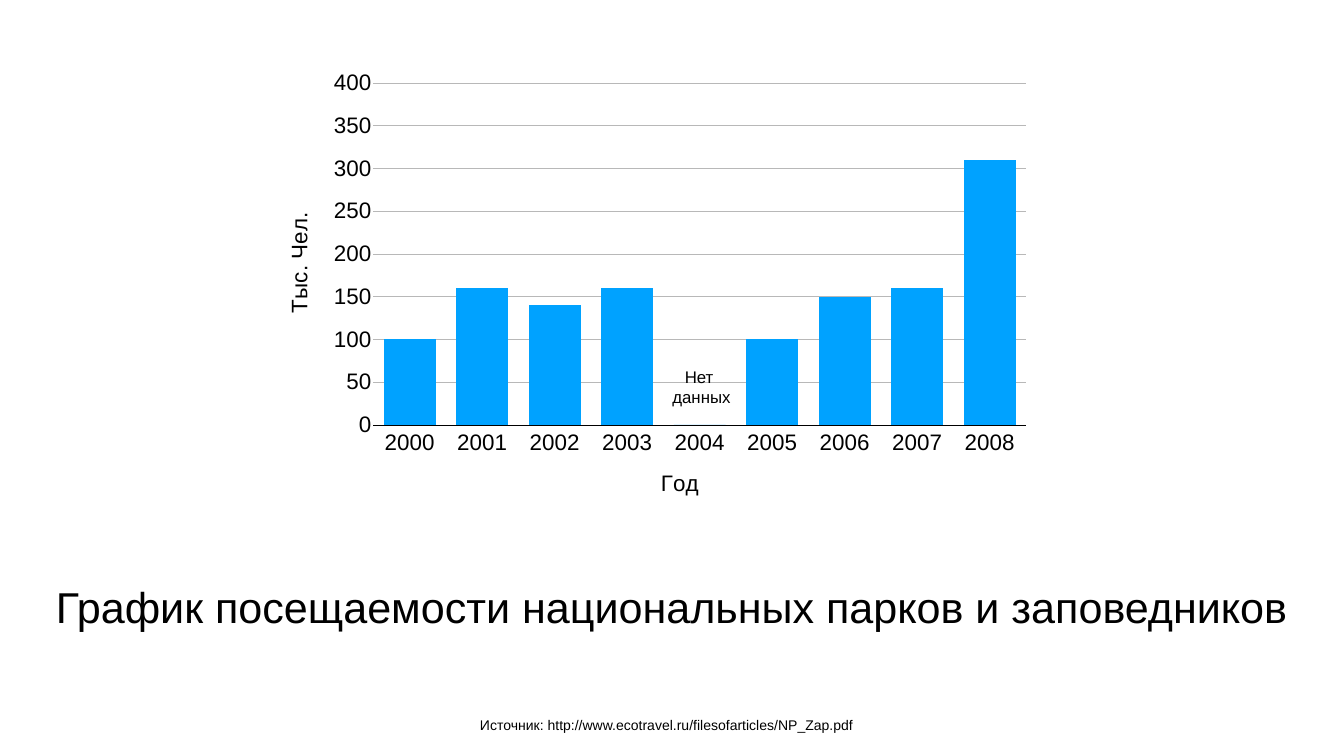
import pptx
import pptx.chart.data
import pptx.dml.color
import pptx.enum.chart
import pptx.enum.text
import pptx.oxml
import pptx.util
from pptx.oxml.ns import nsdecls

Cm, Pt = pptx.util.Cm, pptx.util.Pt
CH, TX = pptx.enum.chart, pptx.enum.text
FACE, BLACK, GREY, BLUE = "Arial", "000000", "B8B8B8", "00A2FF"
LOW, MID = TX.MSO_ANCHOR.BOTTOM, TX.MSO_ANCHOR.MIDDLE

VISITS = {"2000": 100, "2001": 160, "2002": 140, "2003": 160, "2004": 0,
          "2005": 100, "2006": 150, "2007": 160, "2008": 310}
PLOT = {"x": 0.125, "y": 0.058, "w": 0.87, "h": 0.759}
AREA = (14.1, 2.86, 37.8, 22.71)
# lines, box in cm, size, anchor, wrap
TEXTS = [
    (["График посещаемости национальных парков и заповедников"],
     (1.75, 26.45, 64.21, 5.56), 61.6, LOW, True),
    (["Нет ", "данных"], (33.73, 18.34, 3.25, 2.31), 24, MID, False),
    (["Источник: http://www.ecotravel.ru/filesofarticles/NP_Zap.pdf"],
     (23.77, 35.97, 19.66, 1.12), 20, MID, False),
]


def rgb(code):
    return pptx.dml.color.RGBColor.from_string(code)


def style(font, size):
    font.name, font.size, font.bold = FACE, Pt(size), False
    font.color.rgb = rgb(BLACK)


def stroke(line, code):
    line.color.rgb = rgb(code)
    line.width = Pt(1)


def add_text(slide, lines, box, size, anchor, wrap):
    frame = slide.shapes.add_textbox(*map(Cm, box)).text_frame
    frame.word_wrap, frame.vertical_anchor = wrap, anchor
    frame.margin_left = frame.margin_right = Cm(0.15)
    frame.margin_top = frame.margin_bottom = Cm(0.15)
    frame.text = "\n".join(lines)
    for para in frame.paragraphs:
        para.alignment = TX.PP_ALIGN.CENTER
        style(para.font, size)


def set_axis(axis, title):
    frame = axis.axis_title.text_frame
    frame.text = title
    style(frame.paragraphs[0].font, 32)
    style(axis.tick_labels.font, 32)
    axis.major_tick_mark = axis.minor_tick_mark = CH.XL_TICK_MARK.NONE


def set_plot(chart):
    """Fix the inner plot area as shares of the chart."""
    area = chart.plots[0]._element.getparent()
    for old in area.findall(pptx.oxml.ns.qn("c:layout")):
        area.remove(old)
    parts = "".join(f'<c:{key} val="{val}"/>' for key, val in PLOT.items())
    area.insert(0, pptx.oxml.parse_xml(
        f'<c:layout {nsdecls("c")}><c:manualLayout>'
        '<c:layoutTarget val="inner"/><c:xMode val="edge"/>'
        f'<c:yMode val="edge"/>{parts}</c:manualLayout></c:layout>'))


def add_visits(slide):
    data = pptx.chart.data.CategoryChartData()
    data.categories = list(VISITS)
    data.add_series("Series 1", list(VISITS.values()))
    chart = slide.shapes.add_chart(
        CH.XL_CHART_TYPE.COLUMN_CLUSTERED, *map(Cm, AREA), data).chart
    chart.has_legend = chart.has_title = False
    style(chart.font, 10)
    plot = chart.plots[0]
    plot.vary_by_categories, plot.gap_width, plot.overlap = False, 40, -10
    fill = plot.series[0].format.fill
    fill.solid()
    fill.fore_color.rgb = rgb(BLUE)

    years, count = chart.category_axis, chart.value_axis
    set_axis(years, "Год")
    set_axis(count, "Тыс. Чел.")
    years.tick_label_position = CH.XL_TICK_LABEL_POSITION.LOW
    stroke(years.format.line, BLACK)
    count.minimum_scale, count.maximum_scale, count.major_unit = 0, 400, 50
    count.format.line.fill.background()
    stroke(count.major_gridlines.format.line, GREY)
    set_plot(chart)


def main():
    deck = pptx.Presentation()
    deck.slide_width, deck.slide_height = Cm(67.74), Cm(38.1)
    slide = deck.slides.add_slide(deck.slide_layouts[6])
    add_visits(slide)
    for text in TEXTS:
        add_text(slide, *text)
    deck.save("out.pptx")


if __name__ == "__main__":
    main()
